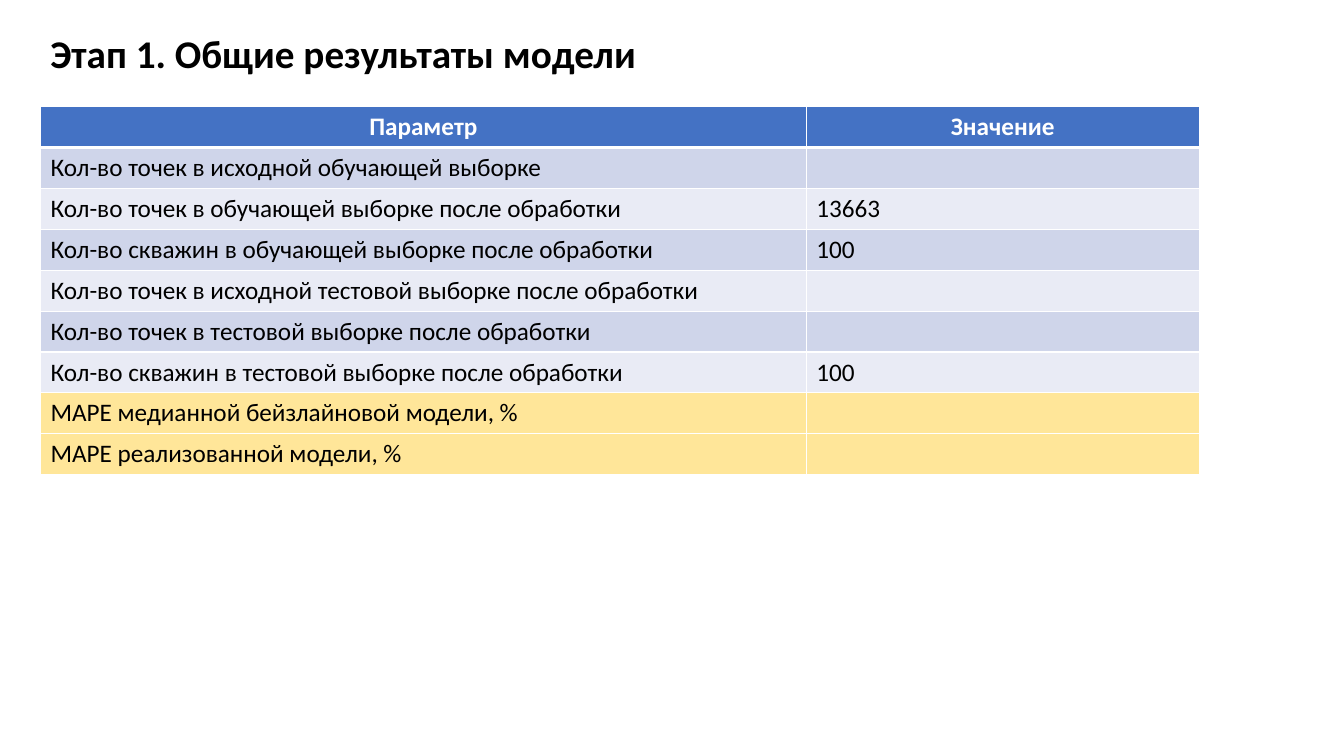
from lxml.etree import SubElement
from pptx import Presentation
from pptx.dml.color import RGBColor
from pptx.enum.text import MSO_ANCHOR, PP_ALIGN
from pptx.oxml.ns import qn
from pptx.util import Cm, Pt

HEADER = ("Параметр", "Значение")
DATA_ROWS = [
    ("Кол-во точек в исходной обучающей выборке", ""),
    ("Кол-во точек в обучающей выборке после обработки", "13663"),
    ("Кол-во скважин в обучающей выборке после обработки", "100"),
    ("Кол-во точек в исходной тестовой выборке после обработки", ""),
    ("Кол-во точек в тестовой выборке после обработки", ""),
    ("Кол-во скважин в тестовой выборке после обработки", "100"),
]
METRIC_ROWS = [
    ("MAPE медианной бейзлайновой модели, %", ""),
    ("MAPE реализованной модели, %", ""),
]


def color(value):
    return RGBColor.from_string(value)


class ResultsSlide:
    font_name = "Calibri"
    black = "000000"
    white = "FFFFFF"
    header_fill = "4472C4"
    band_fills = ("CFD5EA", "E9EBF5")
    metric_fill = "FFE699"

    def __init__(self, presentation):
        self.slide = presentation.slides.add_slide(presentation.slide_layouts[6])

    def set_font(self, paragraph, size, font_color, bold):
        font = paragraph.font
        font.name = self.font_name
        font.size = Pt(size)
        font.bold = bold
        font.color.rgb = color(font_color)

    def add_title(self, text, left, top, width, height):
        shape = self.slide.shapes.add_textbox(left, top, width, height)
        frame = shape.text_frame
        frame.word_wrap = True
        frame.vertical_anchor = MSO_ANCHOR.MIDDLE
        paragraph = frame.paragraphs[0]
        paragraph.text = text
        paragraph.line_spacing = 0.9
        self.set_font(paragraph, 28, self.black, True)

    def add_borders(self, cell, widths):
        properties = cell._tc.get_or_add_tcPr()
        for side, width in widths.items():
            line = SubElement(properties, qn(f"a:ln{side}"), w=str(Pt(width)))
            fill = SubElement(line, qn("a:solidFill"))
            SubElement(fill, qn("a:srgbClr"), val=self.white)

    def fill_cell(self, cell, text, fill, is_header, bottom_width, top_width):
        self.add_borders(cell, {"L": 1, "R": 1, "T": top_width, "B": bottom_width})
        cell.fill.solid()
        cell.fill.fore_color.rgb = color(fill)
        paragraph = cell.text_frame.paragraphs[0]
        if text:
            paragraph.text = text
        paragraph.alignment = PP_ALIGN.CENTER if is_header else PP_ALIGN.LEFT
        self.set_font(paragraph, 18, self.white if is_header else self.black, is_header)

    def add_results_table(self, left, top, column_widths, row_height):
        rows = [HEADER, *DATA_ROWS, *METRIC_ROWS]
        bands = [self.band_fills[index % 2] for index in range(len(DATA_ROWS))]
        fills = [self.header_fill, *bands, *[self.metric_fill] * len(METRIC_ROWS)]
        table = self.slide.shapes.add_table(
            len(rows), len(HEADER), left, top, sum(column_widths), row_height * len(rows)
        ).table
        for column, width in zip(table.columns, column_widths):
            column.width = width
        for index, (texts, fill) in enumerate(zip(rows, fills)):
            table.rows[index].height = row_height
            bottom_width = 3 if index == 0 else 1
            top_width = 3 if index == 1 else 1
            for cell, text in zip(table.rows[index].cells, texts):
                self.fill_cell(cell, text, fill, index == 0, bottom_width, top_width)


def main():
    presentation = Presentation()
    presentation.slide_width = Cm(33.87)
    presentation.slide_height = Cm(19.05)
    results = ResultsSlide(presentation)
    results.add_title("Этап 1. Общие результаты модели", Cm(1.02), Cm(0.41), Cm(29.2), Cm(1.98))
    results.add_results_table(Cm(1.02), Cm(2.69), (Cm(19.3), Cm(9.9)), Cm(1.03))
    presentation.save("out.pptx")


if __name__ == "__main__":
    main()
